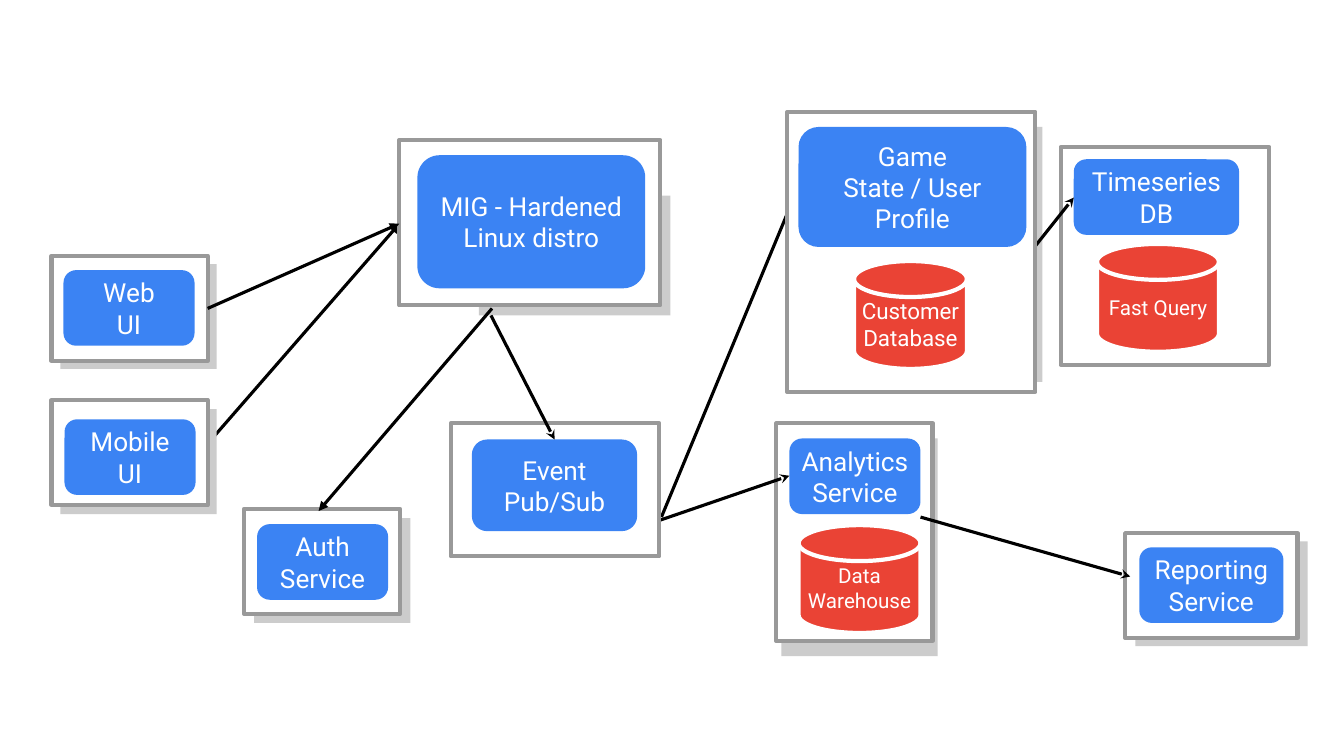
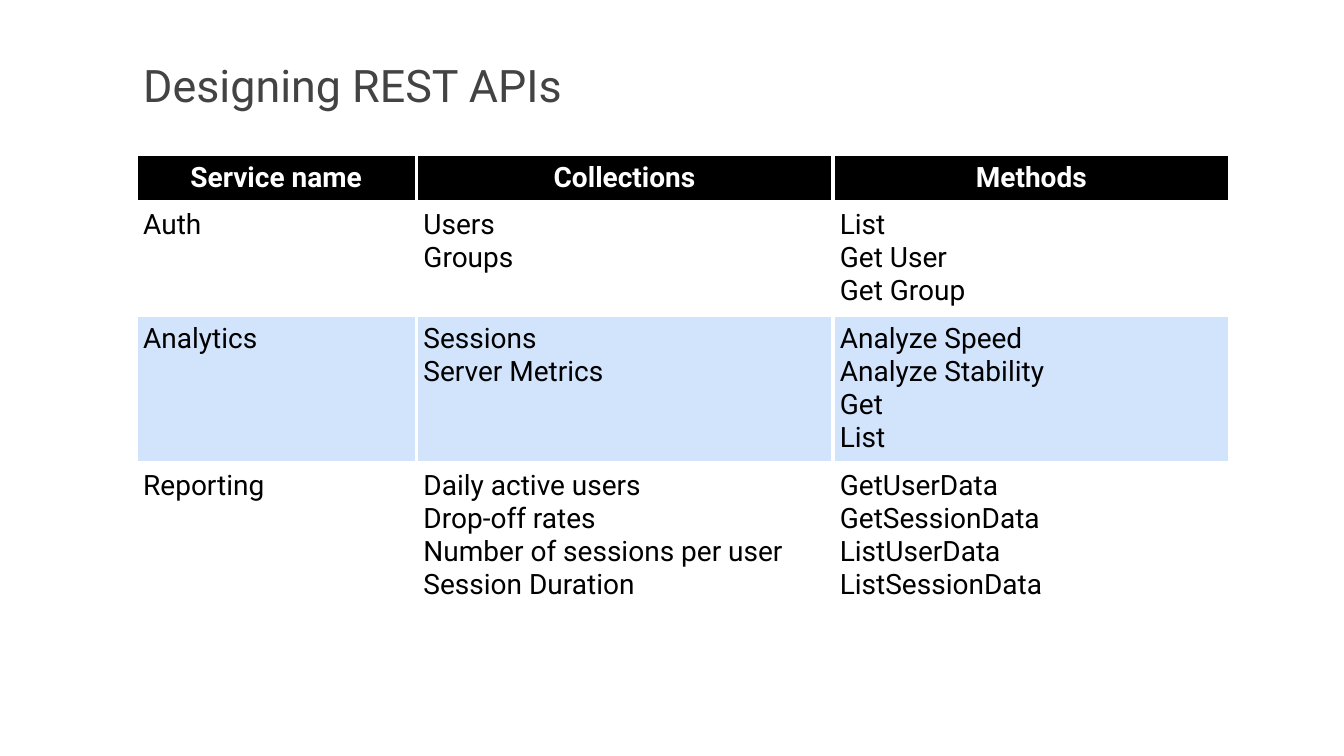
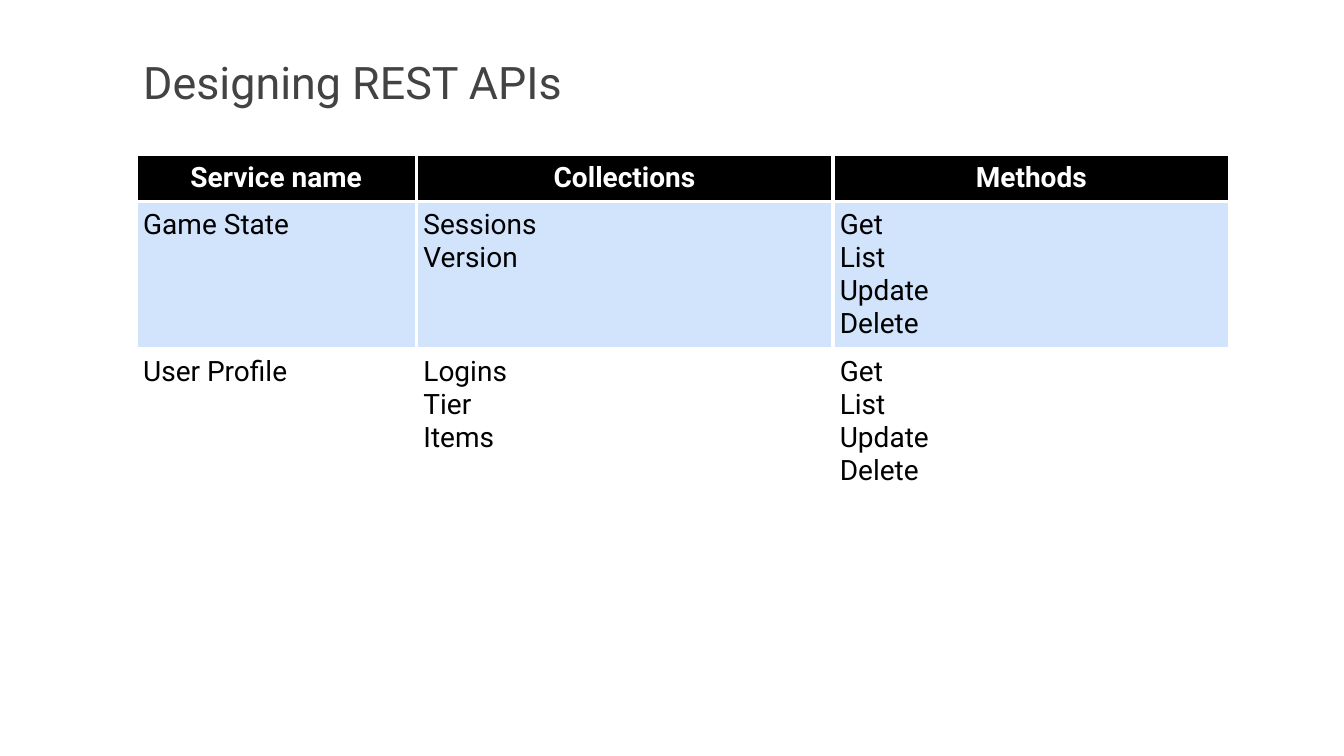
"""Build a service diagram and two tables of REST APIs."""
from dataclasses import dataclass

from lxml import etree
from pptx import Presentation
from pptx.dml.color import RGBColor
from pptx.enum.shapes import MSO_CONNECTOR, MSO_SHAPE
from pptx.enum.text import MSO_ANCHOR, MSO_AUTO_SIZE, PP_ALIGN
from pptx.oxml.ns import qn
from pptx.util import Pt

PX = 9144
RECT = MSO_SHAPE.RECTANGLE
ROUND = MSO_SHAPE.ROUNDED_RECTANGLE
DISK = MSO_SHAPE.FLOWCHART_MAGNETIC_DISK
STRAIGHT = MSO_CONNECTOR.STRAIGHT
LEFT, CENTER = PP_ALIGN.LEFT, PP_ALIGN.CENTER
TOP, MIDDLE = MSO_ANCHOR.TOP, MSO_ANCHOR.MIDDLE
FIXED = MSO_AUTO_SIZE.NONE


@dataclass(frozen=True)
class Theme:
    font: str = "Roboto"
    white: str = "FFFFFF"
    black: str = "000000"
    title: str = "434343"
    blue: str = "3B83F3"
    red: str = "EA4335"
    edge: str = "999999"
    shade: str = "CCCCCC"
    band: str = "D2E3FC"
    head: float = 32
    body: float = 20
    label: float = 18.7
    store: float = 16
    small: float = 14.7
    thick: float = 3
    thin: float = 2.25
    pad: int = 7


theme = Theme()


def write(frame, text, size=theme.label, color=theme.white, bold=False,
          align=CENTER, anchor=MIDDLE, space=None):
    frame.word_wrap = True
    frame.vertical_anchor = anchor
    frame.margin_left = frame.margin_right = theme.pad * PX
    frame.margin_top = frame.margin_bottom = theme.pad * PX
    for i, line in enumerate(text.split("\n")):
        para = frame.add_paragraph() if i else frame.paragraphs[0]
        para.alignment = align
        para.line_spacing = space
        run = para.add_run()
        run.text = line
        run.font.name = theme.font
        run.font.size = Pt(size)
        run.font.bold = bold
        run.font.color.rgb = RGBColor.from_string(color)


def draw(kind, place, fill, edge=None):
    shape = slide.shapes.add_shape(kind, *[v * PX for v in place])
    shape.shadow.inherit = False
    shape.fill.solid()
    shape.fill.fore_color.rgb = RGBColor.from_string(fill)
    if edge:
        shape.line.color.rgb = RGBColor.from_string(edge)
        shape.line.width = Pt(theme.thick)
    else:
        shape.line.fill.background()
    return shape


deck = Presentation()
deck.slide_width, deck.slide_height = 1333 * PX, 750 * PX

layers = [
    (
        [((194, 454, 396, 222), "triangle")],
        [(60, 262, 155, 104), (60, 406, 155, 104), (252, 514, 155, 104),
         (475, 194, 190, 119), (775, 435, 155, 216), (788, 126, 246, 253),
         (1126, 537, 171, 104)],
        [
            ((51, 254, 155, 104), (63, 268, 130, 75), "Web\nUI", None),
            ((51, 397, 155, 104), (64, 416, 130, 75), "Mobile\nUI", None),
            ((242, 505, 155, 104), (255, 520, 130, 75),
             "Auth\nService", None),
            ((396, 139, 259, 164), (414, 154, 226, 132),
             "MIG - Hardened Linux distro", None),
            ((770, 420, 155, 216), (783, 435, 130, 75), "Analytics\nService",
             ((792, 521, 121, 107), "Data Warehouse", theme.small)),
            ((1116, 529, 171, 104), (1130, 543, 143, 75),
             "Reporting Service", None),
            ((1052, 146, 207, 216), (1065, 158, 164, 75), "Timeseries DB",
             ((1088, 242, 121, 107), "Fast Query", theme.small)),
        ],
    ),
    (
        [((488, 306, 316, 507), "triangle"),
         ((206, 306, 396, 222), "triangle"),
         ((550, 552, 783, 472), "stealth"),
         ((913, 513, 1121, 572), "stealth"),
         ((656, 513, 792, 185), "stealth")],
        [],
        [((447, 420, 207, 132), (468, 436, 164, 91), "Event Pub/Sub", None)],
    ),
    (
        [((1019, 254, 1065, 196), "stealth"),
         ((487, 313, 550, 436), "stealth")],
        [],
        [((781, 111, 246, 278), (792, 126, 226, 119),
          "Game\nState / User Profile",
          ((847, 259, 112, 107), "Customer\nDatabase", theme.store))],
    ),
]

slide = deck.slides.add_slide(deck.slide_layouts[6])
for links, shades, nodes in layers:
    for ends, tip in links:
        link = slide.shapes.add_connector(STRAIGHT, *[v * PX for v in ends])
        link.line.color.rgb = RGBColor.from_string(theme.black)
        link.line.width = Pt(theme.thin)
        props = link._element.spPr
        etree.SubElement(props.find(qn("a:ln")), qn("a:tailEnd"), type=tip)
        etree.SubElement(props, qn("a:effectLst"))
    for place in shades:
        draw(RECT, place, theme.shade)
    for frame, box, name, store in nodes:
        draw(RECT, frame, theme.white, theme.edge)
        write(draw(ROUND, box, theme.blue).text_frame, name)
        if store:
            place, text, size = store
            disk = draw(DISK, place, theme.red, theme.white)
            write(disk.text_frame, text, size=size)

heads = ("Service name", "Collections", "Methods")
widths = (278, 413, 394)
pages = [
    (56, [
        ("Auth", "Users\nGroups", "List\nGet User\nGet Group"),
        ("Analytics", "Sessions\nServer Metrics",
         "Analyze Speed\nAnalyze Stability\nGet\nList"),
        ("Reporting",
         "Daily active users\nDrop-off rates\n"
         "Number of sessions per user\nSession Duration",
         "GetUserData\nGetSessionData\nListUserData\nListSessionData"),
    ]),
    (53, [
        ("Game State", "Sessions\nVersion", "Get\nList\nUpdate\nDelete"),
        ("User Profile", "Logins\nTier\nItems", "Get\nList\nUpdate\nDelete"),
    ]),
]

count = 0
for top, body in pages:
    slide = deck.slides.add_slide(deck.slide_layouts[5])
    title = slide.shapes.title
    title.left, title.top = 135 * PX, top * PX
    title.width, title.height = 1066 * PX, 78 * PX
    title.text_frame.auto_size = FIXED
    write(title.text_frame, "Designing REST APIs", size=theme.head,
          color=theme.title, align=LEFT, anchor=TOP, space=0.9)

    rows = [heads] + body
    highs = [2 * theme.pad + 33 * max(t.count("\n") + 1 for t in row)
             for row in rows]
    table = slide.shapes.add_table(
        len(rows), len(heads), 135 * PX, 153 * PX,
        sum(widths) * PX, sum(highs) * PX).table
    table.horz_banding = False
    for col, width in zip(table.columns, widths):
        col.width = width * PX
    for r, (row, high) in enumerate(zip(rows, highs)):
        table.rows[r].height = high * PX
        count += r > 0
        for c, text in enumerate(row):
            cell = table.cell(r, c)
            props = cell._tc.get_or_add_tcPr()
            for side in ("lnL", "lnR", "lnT", "lnB"):
                rule = etree.SubElement(props, qn("a:" + side),
                                        w=str(Pt(theme.thick)))
                paint = etree.SubElement(rule, qn("a:solidFill"))
                etree.SubElement(paint, qn("a:srgbClr"), val=theme.white)
            if r and count % 2:
                cell.fill.background()
            else:
                cell.fill.solid()
                fill = theme.band if r else theme.black
                cell.fill.fore_color.rgb = RGBColor.from_string(fill)
            cell.margin_left = cell.margin_right = theme.pad * PX
            cell.margin_top = cell.margin_bottom = theme.pad * PX
            write(cell.text_frame, text, size=theme.body, bold=r == 0,
                  color=theme.black if r else theme.white,
                  align=LEFT if r else CENTER, anchor=TOP)

deck.save("out.pptx")
